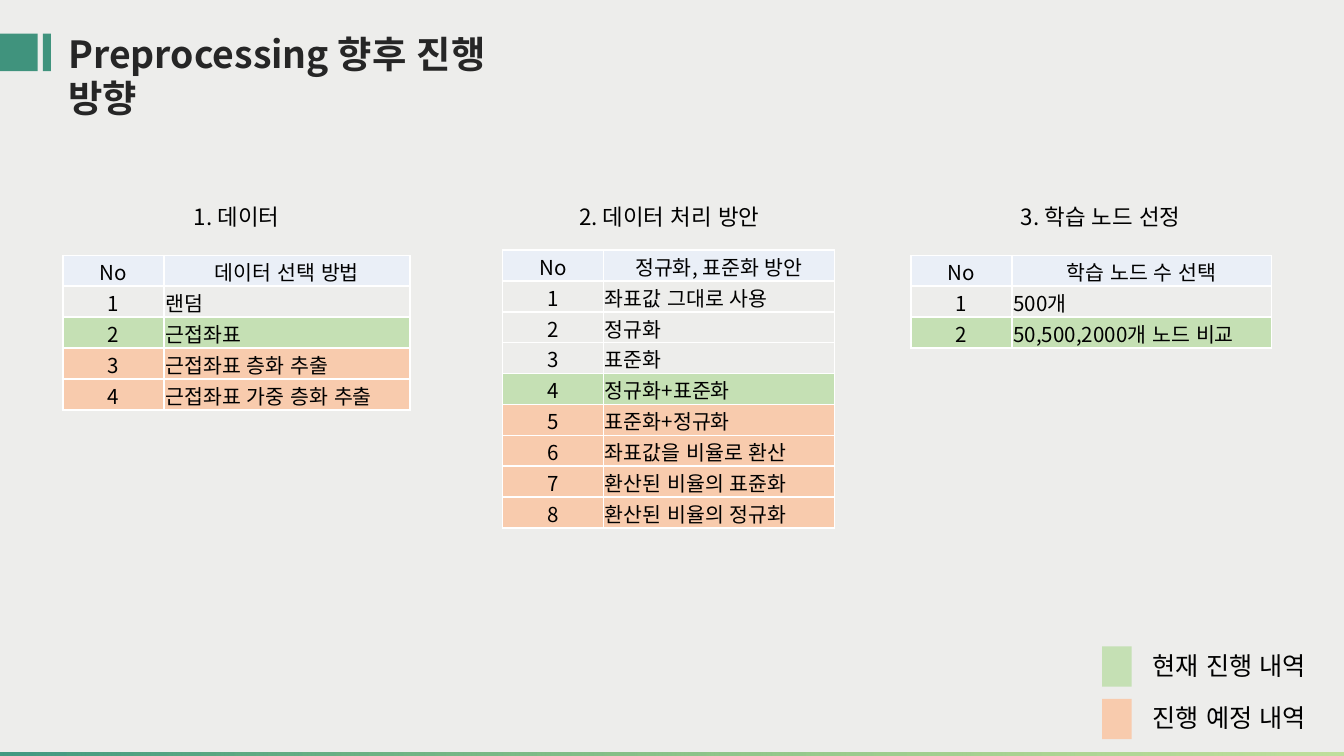
"""Build the slide on the next steps of preprocessing."""
from dataclasses import dataclass

from lxml import etree
from pptx import Presentation
from pptx.dml.color import RGBColor
from pptx.enum import lang, shapes, text
from pptx.oxml import ns
from pptx.util import Inches, Pt

FONT = "Noto Sans CJK KR"
HEAD, NOW, NEXT = "EAEFF7", "C5E0B4", "F8CBAD"
BLACK, WHITE, TEAL = "000000", "FFFFFF", "40937D"
ROW = 0.23
CENTER = text.PP_ALIGN.CENTER
LEFT = text.PP_ALIGN.LEFT


@dataclass
class Style:
    size: float
    font: str = FONT
    color: str = BLACK
    bold: bool = False


@dataclass
class Plan:
    title: str
    label: float
    left: float
    top: float
    width: float
    head: str
    rows: list[tuple[str, str | None]]


@dataclass
class Key:
    label: str
    color: str
    top: float


PLANS = [
    Plan("1. 데이터", 0.87, 0.47, 1.9, 1.83, "데이터 선택 방법", [
        ("랜덤", None), ("근접좌표", NOW),
        ("근접좌표 층화 추출", NEXT), ("근접좌표 가중 층화 추출", NEXT)]),
    Plan("2. 데이터 처리 방안", 4.09, 3.74, 1.86, 1.72, "정규화, 표준화 방안", [
        ("좌표값 그대로 사용", None), ("정규화", None), ("표준화", None),
        ("정규화+표준화", NOW), ("표준화+정규화", NEXT),
        ("좌표값을 비율로 환산", NEXT), ("환산된 비율의 표쥰화", NEXT),
        ("환산된 비율의 정규화", NEXT)]),
    Plan("3. 학습 노드 선정", 7.3, 6.78, 1.9, 1.93, "학습 노드 수 선택", [
        ("500개", None), ("50,500,2000개 노드 비교", NOW)]),
]
KEYS = [Key("현재 진행 내역", NOW, 4.81), Key("진행 예정 내역", NEXT, 5.2)]


def paint(fill, color: str | None) -> None:
    """Fill with a hex colour, or leave clear."""
    if color is None:
        fill.background()
    else:
        fill.solid()
        fill.fore_color.rgb = RGBColor.from_string(color)


def write(frame, words: str, style: Style, align=LEFT) -> None:
    """Write one styled run into the first paragraph."""
    para = frame.paragraphs[0]
    para.alignment = align
    run = para.add_run()
    run.text = words
    run.font.name = style.font
    run.font.size = Pt(style.size)
    run.font.bold = style.bold
    run.font.language_id = lang.MSO_LANGUAGE_ID.KOREAN
    run.font.color.rgb = RGBColor.from_string(style.color)


def label(slide, box: tuple, words: str, style: Style, align=LEFT) -> None:
    """Add a wrapped text box."""
    frame = slide.shapes.add_textbox(*map(Inches, box)).text_frame
    frame.word_wrap = True
    frame.auto_size = text.MSO_AUTO_SIZE.SHAPE_TO_FIT_TEXT
    write(frame, words, style, align)


def block(slide, box: tuple, color: str):
    """Add a plain rectangle."""
    shape = slide.shapes.add_shape(shapes.MSO_SHAPE.RECTANGLE, *map(Inches, box))
    shape.shadow.inherit = False
    shape.line.fill.background()
    paint(shape.fill, color)
    return shape


def frame_cell(cell) -> None:
    """Draw thin white borders round a cell."""
    props = cell._tc.get_or_add_tcPr()
    for side in ("lnL", "lnR", "lnT", "lnB"):
        line = etree.SubElement(props, ns.qn(f"a:{side}"), w=str(Pt(1)))
        solid = etree.SubElement(line, ns.qn("a:solidFill"))
        etree.SubElement(solid, ns.qn("a:srgbClr"), val=WHITE)


def set_cell(cell, words: str, color: str | None, align) -> None:
    """Fill in one table cell."""
    frame_cell(cell)
    paint(cell.fill, color)
    cell.margin_left = cell.margin_right = cell.margin_top = Inches(0.01)
    cell.margin_bottom = 0
    cell.vertical_anchor = text.MSO_ANCHOR.MIDDLE
    write(cell.text_frame, words, Style(11), align)


def draw_plan(slide, plan: Plan) -> None:
    """Draw a numbered table with its heading."""
    label(slide, (plan.label, 1.46, 1.78, 0.3), plan.title, Style(12), CENTER)
    count = len(plan.rows) + 1
    widths = (0.75, plan.width)
    box = (plan.left, plan.top, sum(widths), ROW * count)
    table = slide.shapes.add_table(count, 2, *map(Inches, box)).table
    for col, width in zip(table.columns, widths):
        col.width = Inches(width)
    for row in table.rows:
        row.height = Inches(ROW)
    set_cell(table.cell(0, 0), "No", HEAD, CENTER)
    set_cell(table.cell(0, 1), plan.head, HEAD, CENTER)
    for num, (words, color) in enumerate(plan.rows, 1):
        set_cell(table.cell(num, 0), str(num), color, CENTER)
        set_cell(table.cell(num, 1), words, color, LEFT)


def draw_key(slide, key: Key) -> None:
    """Draw one legend entry."""
    block(slide, (8.2, key.top, 0.22, 0.3), key.color)
    label(slide, (8.48, key.top - 0.02, 1.38, 0.33), key.label, Style(13.5, "Calibri"))


def draw_strip(slide) -> None:
    """Draw the fading strip along the bottom edge."""
    fill = block(slide, (0, 5.6, 10, 0.02), TEAL).fill
    fill.gradient()
    fill.gradient_angle = 0
    for stop, color in zip(fill.gradient_stops, ("429981", "92D050")):
        stop.color.rgb = RGBColor.from_string(color)
    last = fill._xPr.findall(".//" + ns.qn("a:srgbClr"))[-1]
    etree.SubElement(last, ns.qn("a:alpha"), val="50000")


def main() -> None:
    """Build and save the slide."""
    deck = Presentation()
    deck.slide_width, deck.slide_height = Inches(10), Inches(10 * 9 / 16)
    slide = deck.slides.add_slide(deck.slide_layouts[6])
    paint(slide.background.fill, "EDEDEB")
    draw_strip(slide)
    for plan in PLANS:
        draw_plan(slide, plan)
    for key in KEYS:
        draw_key(slide, key)
    for left, width in ((0, 0.28), (0.32, 0.06)):
        block(slide, (left, 0.25, width, 0.28), TEAL)
    label(slide, (0.41, 0.18, 3.75, 0.44), "Preprocessing 향후 진행 방향",
          Style(20, color="262626", bold=True))
    deck.save("out.pptx")


if __name__ == "__main__":
    main()
